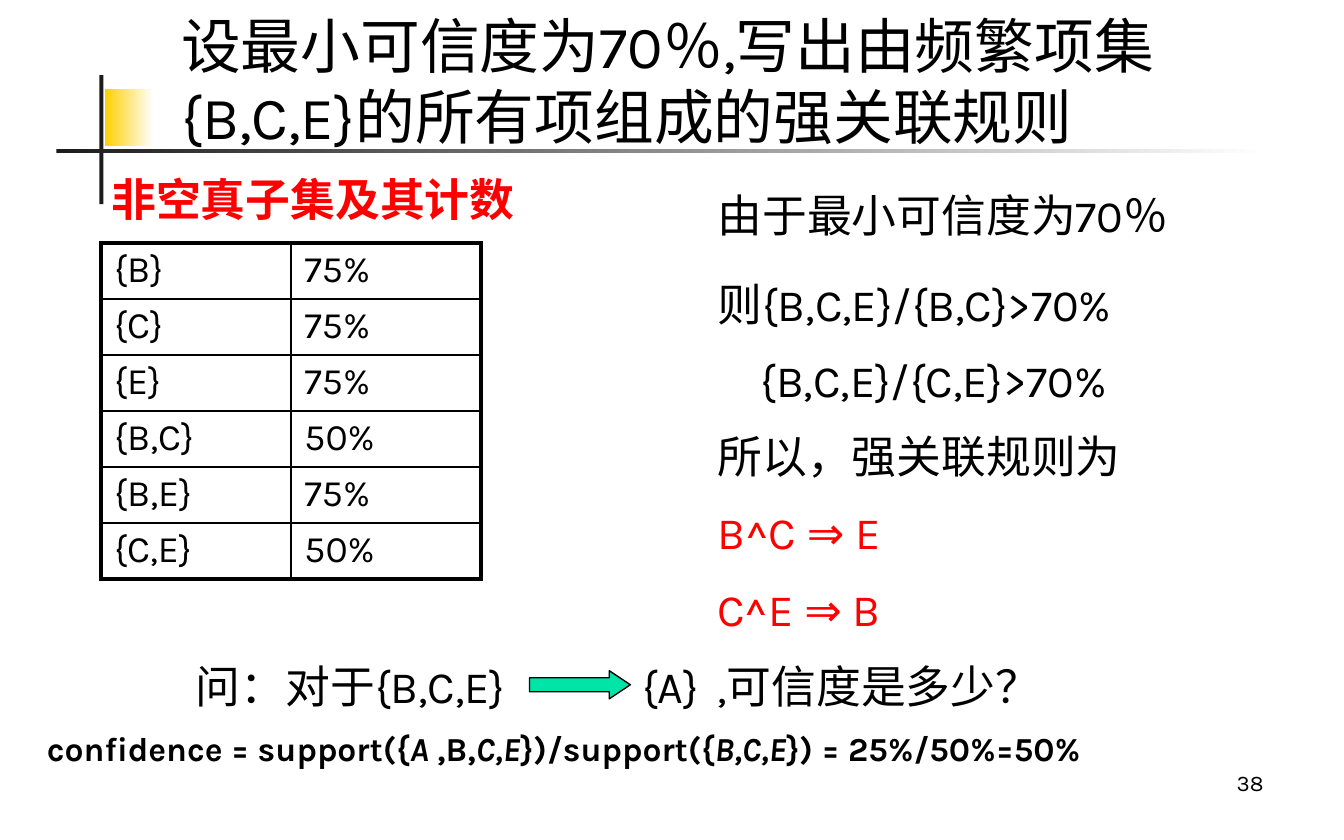
from lxml.etree import SubElement
from pptx import Presentation
from pptx.dml.color import RGBColor
from pptx.enum.shapes import MSO_SHAPE
from pptx.enum.text import MSO_ANCHOR, PP_ALIGN
from pptx.oxml.ns import qn
from pptx.util import Inches, Pt

FONT = "Karla"
BLACK = RGBColor(0, 0, 0)
RED = RGBColor(0xFF, 0, 0)
WHITE = RGBColor(0xFF, 0xFF, 0xFF)
DARK = RGBColor(0x1C, 0x1C, 0x1C)
GOLD = RGBColor(0xFF, 0xCF, 0x01)
GREEN = RGBColor(0, 0xE4, 0xA8)

TITLE = "设最小可信度为70％,写出由频繁项集{B,C,E}的所有项组成的强关联规则"
HEAD = "非空真子集及其计数"
COUNTS = [("{B}", "75%"), ("{C}", "75%"), ("{E}", "75%"),
          ("{B,C}", "50%"), ("{B,E}", "75%"), ("{C,E}", "50%")]
GIVEN = "由于最小可信度为70％"
# text, colour, left indent in inches
STEPS = [("则{B,C,E}/{B,C}>70%", BLACK, 0),
         ("{B,C,E}/{C,E}>70%", BLACK, 0.32),
         ("所以，强关联规则为", BLACK, 0),
         ("B^C ⇒ E", RED, 0),
         ("C^E ⇒ B", RED, 0)]
# tabs leave room for the arrow
ASK = "问：对于{B,C,E}\t{A}\t,可信度是多少？"
ASK_TABS = [3.32, 3.88]
# text, italic
ANSWER = [("confidence = support({", False), ("A", True), (" ,B,", False),
          ("C,E", True), ("})/support({", False), ("B,C,E", True),
          ("}) = 25%/50%=50%", False)]
BARS = [((0.78, 0.66, 0.36, 0.43), GOLD, True),
        ((0.74, 0.56, 0.03, 0.96), DARK, False),
        ((0.42, 1.11, 9, 0.03), DARK, True)]


def style(para, size, color=BLACK, bold=False):
    for run in para.runs:
        font = run.font
        font.name, font.size, font.bold = FONT, Pt(size), bold
        font.color.rgb = color


def add_text(slide, box, text, size, color=BLACK, bold=False,
             anchor=MSO_ANCHOR.TOP):
    frame = slide.shapes.add_textbox(*map(Inches, box)).text_frame
    frame.word_wrap = True
    frame.vertical_anchor = anchor
    frame.text = text
    for para in frame.paragraphs:
        style(para, size, color, bold)
    return frame


def add_plain(slide, kind, box):
    shape = slide.shapes.add_shape(kind, *map(Inches, box))
    shape.shadow.inherit = False
    shape.line.fill.background()
    return shape


def add_bar(slide, box, color, fade):
    fill = add_plain(slide, MSO_SHAPE.RECTANGLE, box).fill
    if fade:
        fill.gradient()
        fill.gradient_angle = 0
        for stop, tone in zip(fill.gradient_stops, (color, WHITE)):
            stop.color.rgb = tone
    else:
        fill.solid()
        fill.fore_color.rgb = color


def add_edges(cell, widths):
    """Draw black cell borders; widths maps L, R, T, B to points."""
    props = cell._tc.get_or_add_tcPr()
    for spot, (side, width) in enumerate(widths.items()):
        line = SubElement(props, qn(f"a:ln{side}"), w=str(Pt(width)))
        fill = SubElement(line, qn("a:solidFill"))
        SubElement(fill, qn("a:srgbClr"), val=str(BLACK))
        props.remove(line)
        props.insert(spot, line)


def add_counts(slide):
    rows, cols = len(COUNTS), len(COUNTS[0])
    box = map(Inches, (0.75, 1.81, 2.83, 2.5))
    table = slide.shapes.add_table(rows, cols, *box).table
    table.first_row = table.horz_banding = False
    for r, row in enumerate(COUNTS):
        for c, text in enumerate(row):
            cell = table.cell(r, c)
            cell.text_frame.text = text
            cell.margin_top = cell.margin_bottom = Inches(0.04)
            cell.fill.background()
            para = cell.text_frame.paragraphs[0]
            para.space_before = Pt(4)
            style(para, 20)
            outer = {"L": c == 0, "R": c == cols - 1,
                     "T": r == 0, "B": r == rows - 1}
            add_edges(cell, {k: 2.25 if v else 1 for k, v in outer.items()})


def add_steps(slide):
    text = "\n".join(step[0] for step in STEPS)
    frame = add_text(slide, (5.24, 2.01, 4.25, 2.93), text, 24)
    for para, (_, color, left) in zip(frame.paragraphs, STEPS):
        para.space_before = Pt(12)
        style(para, 24, color)
        para._p.get_or_add_pPr().set("marL", str(Inches(left)))


def add_ask(slide):
    frame = add_text(slide, (1.36, 4.85, 7, 0.5), ASK, 24)
    tabs = SubElement(frame.paragraphs[0]._p.get_or_add_pPr(), qn("a:tabLst"))
    for pos in ASK_TABS:
        SubElement(tabs, qn("a:tab"), pos=str(Inches(pos)), algn="l")
    arrow = add_plain(slide, MSO_SHAPE.RIGHT_ARROW, (3.94, 4.99, 0.75, 0.21))
    arrow.adjustments[0], arrow.adjustments[1] = 0.5, 0.75
    arrow.fill.solid()
    arrow.fill.fore_color.rgb = GREEN
    arrow.line.color.rgb = BLACK
    arrow.line.width = Pt(0.75)


def add_answer(slide):
    frame = add_text(slide, (0.15, 5.37, 9.42, 0.4), "", 18)
    para = frame.paragraphs[0]
    para._p.get_or_add_pPr().set("marL", str(Inches(0.1)))
    for text, slant in ANSWER:
        run = para.add_run()
        run.text = text
        run.font.italic = slant
    style(para, 18, bold=True)


def main():
    deck = Presentation()
    deck.slide_width, deck.slide_height = Inches(10), Inches(6.25)
    slide = deck.slides.add_slide(deck.slide_layouts[6])
    for bar in BARS:
        add_bar(slide, *bar)
    page = add_text(slide, (7.42, 5.62, 2.08, 0.35), "38", 12,
                    anchor=MSO_ANCHOR.BOTTOM)
    page.paragraphs[0].alignment = PP_ALIGN.RIGHT
    add_text(slide, (1.25, 0.62, 8.52, 0.56), TITLE, 32,
             anchor=MSO_ANCHOR.BOTTOM)
    add_counts(slide)
    add_text(slide, (0.73, 1.23, 3.25, 0.5), HEAD, 24, RED, True)
    add_text(slide, (5.24, 1.35, 4.17, 0.5), GIVEN, 24)
    add_steps(slide)
    add_ask(slide)
    add_answer(slide)
    deck.save("out.pptx")


if __name__ == "__main__":
    main()
